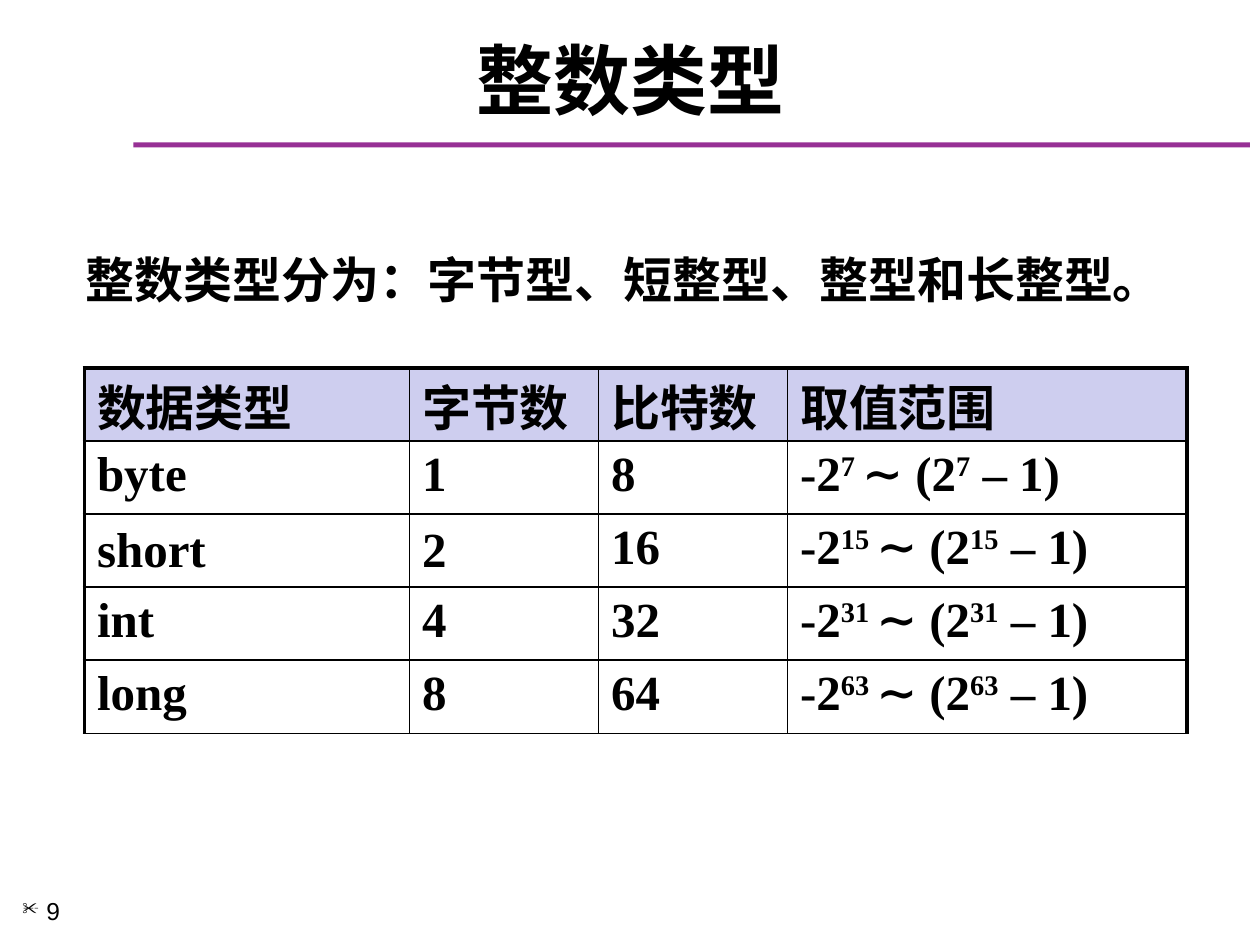
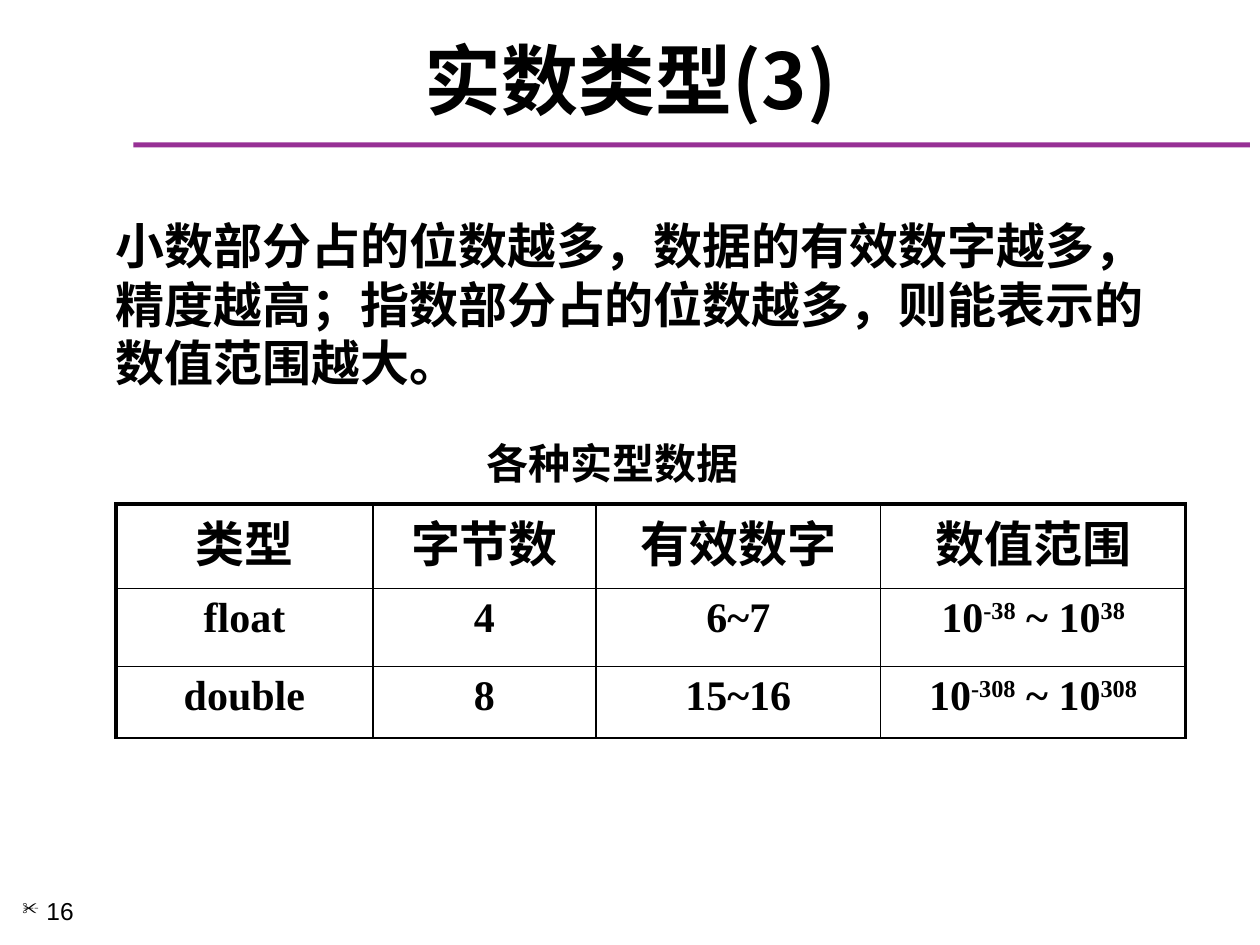
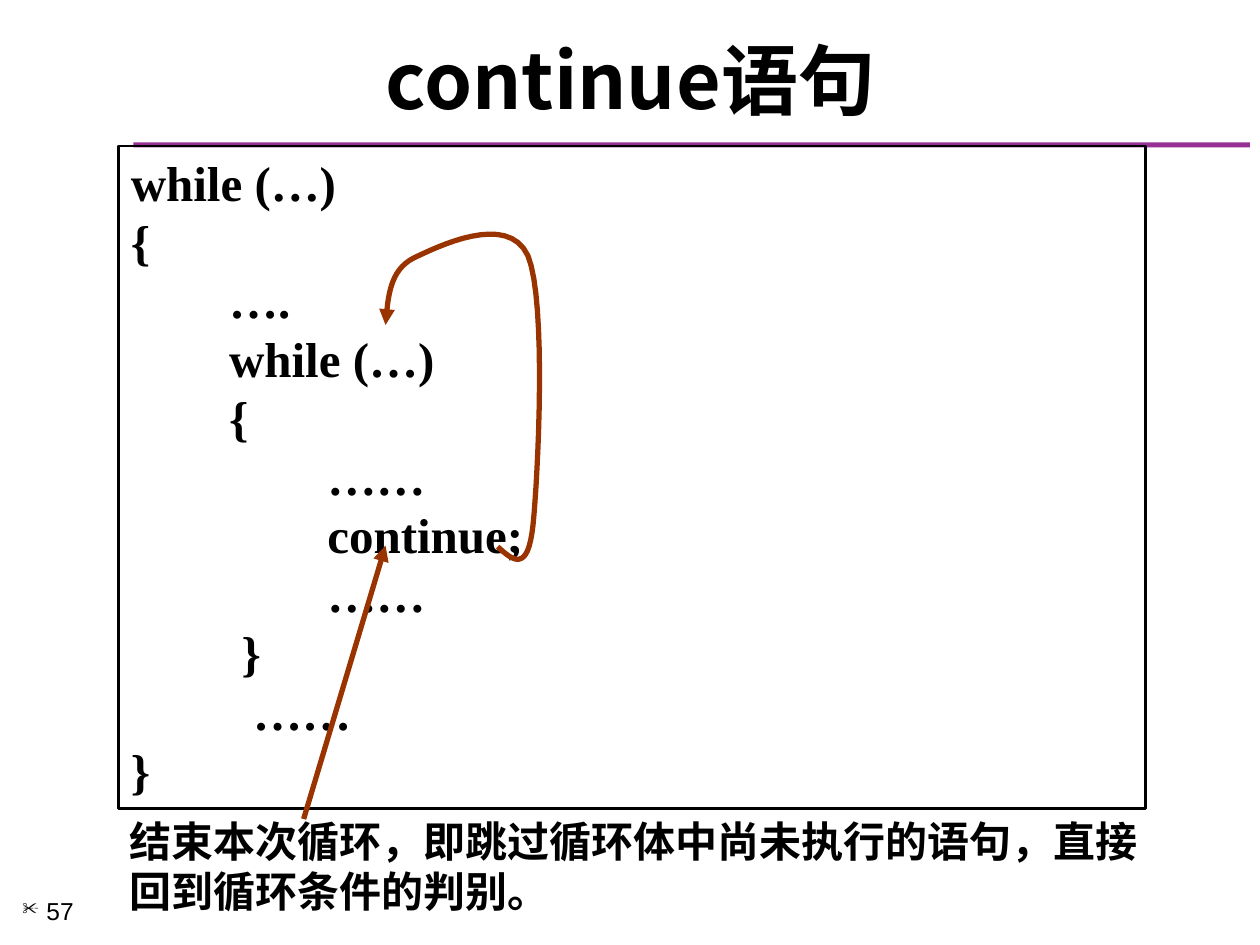
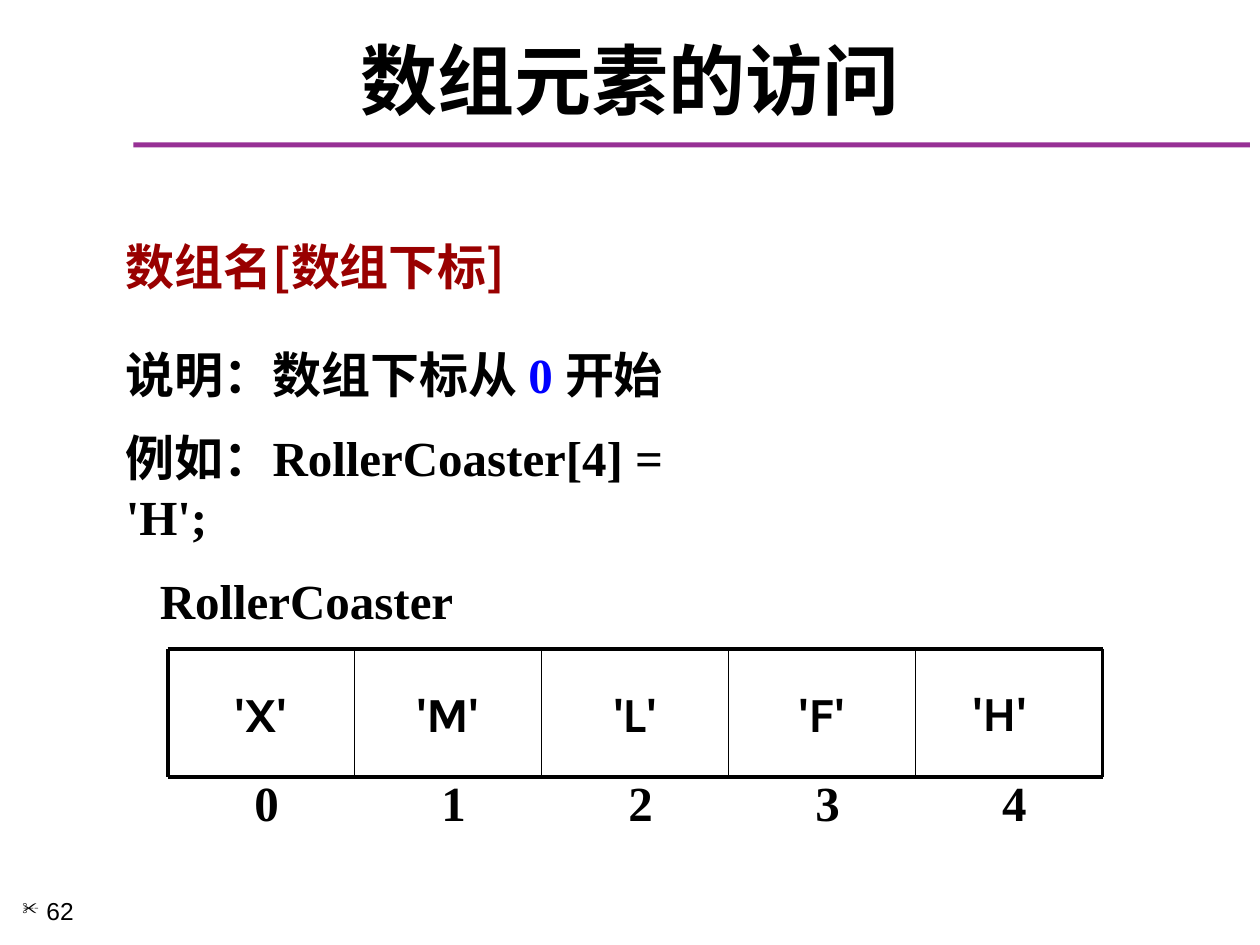
from lxml.etree import SubElement
from pptx import Presentation
from pptx.dml.color import RGBColor
from pptx.enum.shapes import MSO_CONNECTOR, MSO_SHAPE
from pptx.enum.text import MSO_ANCHOR, PP_ALIGN
from pptx.oxml.ns import qn
from pptx.util import Inches, Pt

COLORS = {
    "black": "000000",
    "rule": "973095",
    "header": "CECEEF",
    "arrow": "993300",
    "syntax": "990000",
    "index": "0000FF",
}
SERIF = "Times New Roman"
SANS = "Arial"
CHINESE = "Noto Sans CJK SC"
CELL_FONT = "Karla"
LINE_RATIO = 1.2
THIN, THICK = 1, 2.25


def color(name):
    return RGBColor.from_string(COLORS[name])


def bezier(start, control1, control2, end, steps=16):
    """Points along a cubic curve, without its start."""
    points = []
    for step in range(1, steps + 1):
        t = step / steps
        weights = ((1 - t) ** 3, 3 * t * (1 - t) ** 2, 3 * t * t * (1 - t), t ** 3)
        corners = (start, control1, control2, end)
        points.append(tuple(sum(w * c[axis] for w, c in zip(weights, corners))
                            for axis in (0, 1)))
    return points


class Deck:
    def __init__(self):
        self.presentation = Presentation()
        self.presentation.slide_width = Inches(10)
        self.presentation.slide_height = Inches(7.5)
        self.slide = None

    def new_slide(self, title, number):
        self.slide = self.presentation.slides.add_slide(self.presentation.slide_layouts[6])
        # Rule below the title
        rule = self.slide.shapes.add_shape(
            MSO_SHAPE.RECTANGLE, Inches(1.06), Inches(1.13), Inches(8.86), Inches(0.04))
        rule.shadow.inherit = False
        rule.fill.solid()
        rule.fill.fore_color.rgb = color("rule")
        rule.line.fill.background()
        # Title
        self.text(0.17, 0.25, 9.67, 0.75, [title], size=44, font=CHINESE,
                  align=PP_ALIGN.CENTER, anchor=MSO_ANCHOR.MIDDLE, ratio=None)
        # Page number with its bullet
        frame = self.text(0.08, 7.06, 1.08, 0.44, [number], size=14, font=SANS,
                          bold=False, ratio=None)
        properties = frame.paragraphs[0]._p.get_or_add_pPr()
        properties.set("marL", str(Inches(0.19)))
        properties.set("indent", str(-Inches(0.19)))
        SubElement(properties, qn("a:buSzPct"), val="70000")
        SubElement(properties, qn("a:buChar"), char="✂")

    def style_run(self, run, size=28, font=SERIF, fill="black", bold=True):
        run.font.size = Pt(size)
        run.font.name = font
        run.font.bold = bold
        run.font.color.rgb = color(fill)
        east_asian = SubElement(run._r.get_or_add_rPr(), qn("a:ea"))
        east_asian.set("typeface", CHINESE)

    def set_text(self, paragraph, content, align=PP_ALIGN.LEFT, ratio=LINE_RATIO,
                 size=28, **style):
        """Content is a string, or a list with one string for each run."""
        pieces = [content] if isinstance(content, str) else content
        paragraph.text = pieces[0]
        for piece in pieces[1:]:
            paragraph.add_run().text = piece
        paragraph.alignment = align
        if ratio:
            paragraph.line_spacing = Pt(size * ratio)
        for run in paragraph.runs:
            self.style_run(run, size, **style)

    def fill_frame(self, frame, lines, anchor=MSO_ANCHOR.TOP, **style):
        frame.word_wrap = True
        frame.vertical_anchor = anchor
        for index, line in enumerate(lines):
            paragraph = frame.add_paragraph() if index else frame.paragraphs[0]
            self.set_text(paragraph, line, **style)
        return frame

    def text(self, left, top, width, height, lines, **style):
        box = self.slide.shapes.add_textbox(
            Inches(left), Inches(top), Inches(width), Inches(height))
        return self.fill_frame(box.text_frame, lines, **style)

    def code_box(self, left, top, width, height, lines):
        """Each line is a pair of indent in inches and code."""
        box = self.slide.shapes.add_shape(
            MSO_SHAPE.RECTANGLE, Inches(left), Inches(top), Inches(width), Inches(height))
        box.shadow.inherit = False
        box.fill.background()
        box.line.color.rgb = color("black")
        box.line.width = Pt(1.5)
        frame = self.fill_frame(box.text_frame, [code for _, code in lines])
        for paragraph, (indent, _) in zip(frame.paragraphs, lines):
            paragraph._p.get_or_add_pPr().set("marL", str(Inches(indent)))

    def style_line(self, shape, fill, width, arrow):
        shape.line.color.rgb = color(fill)
        shape.line.width = Pt(width)
        if arrow:
            SubElement(shape.element.spPr.find(qn("a:ln")), qn("a:tailEnd"), type="triangle")

    def line(self, start, end, fill="black", width=THIN, arrow=False):
        connector = self.slide.shapes.add_connector(
            MSO_CONNECTOR.STRAIGHT, *(Inches(value) for value in (*start, *end)))
        self.style_line(connector, fill, width, arrow)
        SubElement(connector.element.spPr, qn("a:effectLst"))

    def curve_arrow(self, start, segments, fill, width):
        points = [start]
        for segment in segments:
            points += bezier(points[-1], *segment)
        points = [(Inches(x), Inches(y)) for x, y in points]
        builder = self.slide.shapes.build_freeform(*points[0])
        builder.add_line_segments(points[1:], close=False)
        shape = builder.convert_to_shape()
        shape.shadow.inherit = False
        shape.fill.background()
        self.style_line(shape, fill, width, arrow=True)

    def border(self, cell, widths):
        properties = cell._tc.get_or_add_tcPr()
        for side, width in zip("LRTB", widths):
            line = SubElement(properties, qn("a:ln" + side), w=str(Pt(width)))
            fill = SubElement(line, qn("a:solidFill"))
            SubElement(fill, qn("a:srgbClr"), val=COLORS["black"])

    def table(self, left, top, columns, heights, rows, header_fill=None,
              body_size=28, align=PP_ALIGN.LEFT):
        table = self.slide.shapes.add_table(
            len(rows), len(columns), Inches(left), Inches(top),
            Inches(sum(columns)), Inches(sum(heights))).table
        table.first_row = table.horz_banding = False
        for column, width in zip(table.columns, columns):
            column.width = Inches(width)
        for row, height in zip(table.rows, heights):
            row.height = Inches(height)
        for row_index, row in enumerate(rows):
            for column_index, content in enumerate(row):
                cell = table.cell(row_index, column_index)
                is_header = row_index == 0
                self.border(cell, (
                    THICK if column_index == 0 else THIN,
                    THICK if column_index == len(columns) - 1 else THIN,
                    THICK if is_header else THIN, THIN))
                if is_header and header_fill:
                    cell.fill.solid()
                    cell.fill.fore_color.rgb = color(header_fill)
                else:
                    cell.fill.background()
                paragraph = cell.text_frame.paragraphs[0]
                if is_header:
                    cell.margin_top, cell.margin_bottom = Inches(0.11), 0
                    self.set_text(paragraph, content, align=align, font=CHINESE)
                else:
                    self.set_text(paragraph, content, align=align, size=body_size, ratio=None)
                # Every second run of a formula is an exponent
                for run in paragraph.runs[1::2]:
                    run._r.get_or_add_rPr().set("baseline", "30000")
        return table


def integer_slide(deck):
    deck.new_slide("整数类型", "9")
    deck.text(0.58, 1.93, 8.88, 0.57, ["整数类型分为：字节型、短整型、整型和长整型。"])
    rows = [["数据类型", "字节数", "比特数", "取值范围"]]
    for name, size in (("byte", 1), ("short", 2), ("int", 4), ("long", 8)):
        bits = size * 8
        power = str(bits - 1)
        rows.append([name, str(size), str(bits),
                     ["-2", power + " ", "∼ (2", power, " – 1)"]])
    table = deck.table(0.67, 2.92, [2.58, 1.5, 1.5, 3.17], [0.58] * 5, rows,
                       header_fill="header")
    for column in (0, 1):
        table.cell(2, column).vertical_anchor = MSO_ANCHOR.MIDDLE


def real_slide(deck):
    deck.new_slide("实数类型(3)", "16")
    rows = [["类型", "字节数", "有效数字", "数值范围"]]
    for name, size, digits, power in (("float", "4", "6~7", "38"),
                                      ("double", "8", "15~16", "308")):
        rows.append([name, size, digits, ["10", "-" + power, " ~ 10", power]])
    deck.table(0.92, 4, [2.04, 1.77, 2.26, 2.42], [0.67, 0.62, 0.57], rows,
               body_size=24, align=PP_ALIGN.CENTER)
    deck.text(3.76, 3.42, 2.3, 0.5, ["各种实型数据"], size=24)
    deck.text(0.82, 1.66, 8.5, 1.5, [
        "小数部分占的位数越多，数据的有效数字越多，\n"
        "精度越高；指数部分占的位数越多，则能表示的\n"
        "数值范围越大。"])


def continue_slide(deck):
    deck.new_slide("continue语句", "57")
    deck.code_box(0.94, 1.16, 8.15, 5.26, [
        (0, "while (…)"),
        (0, "{"),
        (0.78, "…."),
        (0.78, "while (…)"),
        (0.78, "{"),
        (1.56, "……"),
        (1.56, "continue;"),
        (1.56, "……"),
        (0.88, "}"),
        (0.97, "……"),
        (0, "}"),
    ])
    deck.text(0.93, 6.42, 8.4, 0.91, [
        "结束本次循环，即跳过循环体中尚未执行的语句，直接\n回到循环条件的判别。"], size=24)
    # Arrow from the explanation, and the jump back to the condition
    deck.line((2.41, 6.5), (3.06, 4.33), fill="arrow", width=3, arrow=True)
    deck.curve_arrow((3.95, 4.34), [
        ((4.07, 4.45), (4.19, 4.55), (4.23, 4.17)),
        ((4.27, 3.79), (4.34, 2.39), (4.19, 2.03)),
        ((4.03, 1.68), (3.47, 1.96), (3.28, 2.05)),
        ((3.09, 2.15), (3.08, 2.36), (3.06, 2.58)),
    ], fill="arrow", width=3)


def array_slide(deck):
    deck.new_slide("数组元素的访问", "62")
    # Array cells
    left, right, top, bottom = 1.33, 8.75, 5.15, 6.17
    values = ["'X'", "'M'", "'L'", "'F'"]
    count = len(values) + 1
    pitch = (right - left) / count
    for index, value in enumerate(values):
        deck.text(left + index * pitch, top, pitch, bottom - top, [value], font=CELL_FONT,
                  align=PP_ALIGN.CENTER, anchor=MSO_ANCHOR.MIDDLE, ratio=None)
    deck.text(7.63, 5.37, 0.72, 0.57, ["'H'"], font=CELL_FONT, ratio=None)
    for y in (top, bottom):
        deck.line((left, y), (right, y), width=THICK)
    for index in range(count + 1):
        x = left + index * pitch
        deck.line((x, top), (x, bottom), width=THICK if index in (0, count) else THIN)
    # Array name and indices
    deck.text(1.17, 4.48, 2.7, 0.57, ["RollerCoaster"])
    indices = deck.text(1.92, 6.08, 6.39, 0.57, ["\t".join(map(str, range(count)))])
    tabs = SubElement(indices.paragraphs[0]._p.get_or_add_pPr(), qn("a:tabLst"))
    for index in range(1, count):
        SubElement(tabs, qn("a:tab"), pos=str(Inches(index * pitch)), algn="l")
    # Explanation
    frame = deck.text(0.9, 1.83, 5.2, 2.22, [
        "数组名[数组下标]",
        ["说明：数组下标从 ", "0", " 开始"],
        "例如：RollerCoaster[4] = 'H';"])
    syntax, rule, _ = frame.paragraphs
    for paragraph in frame.paragraphs[1:]:
        paragraph.space_before = Pt(14)
    syntax.space_after = Pt(14)
    syntax.runs[0].font.name = CHINESE
    syntax.runs[0].font.color.rgb = color("syntax")
    rule.runs[0].font.name = SANS
    rule.runs[1].font.color.rgb = color("index")


def main():
    deck = Deck()
    for build in (integer_slide, real_slide, continue_slide, array_slide):
        build(deck)
    deck.presentation.save("out.pptx")


if __name__ == "__main__":
    main()
